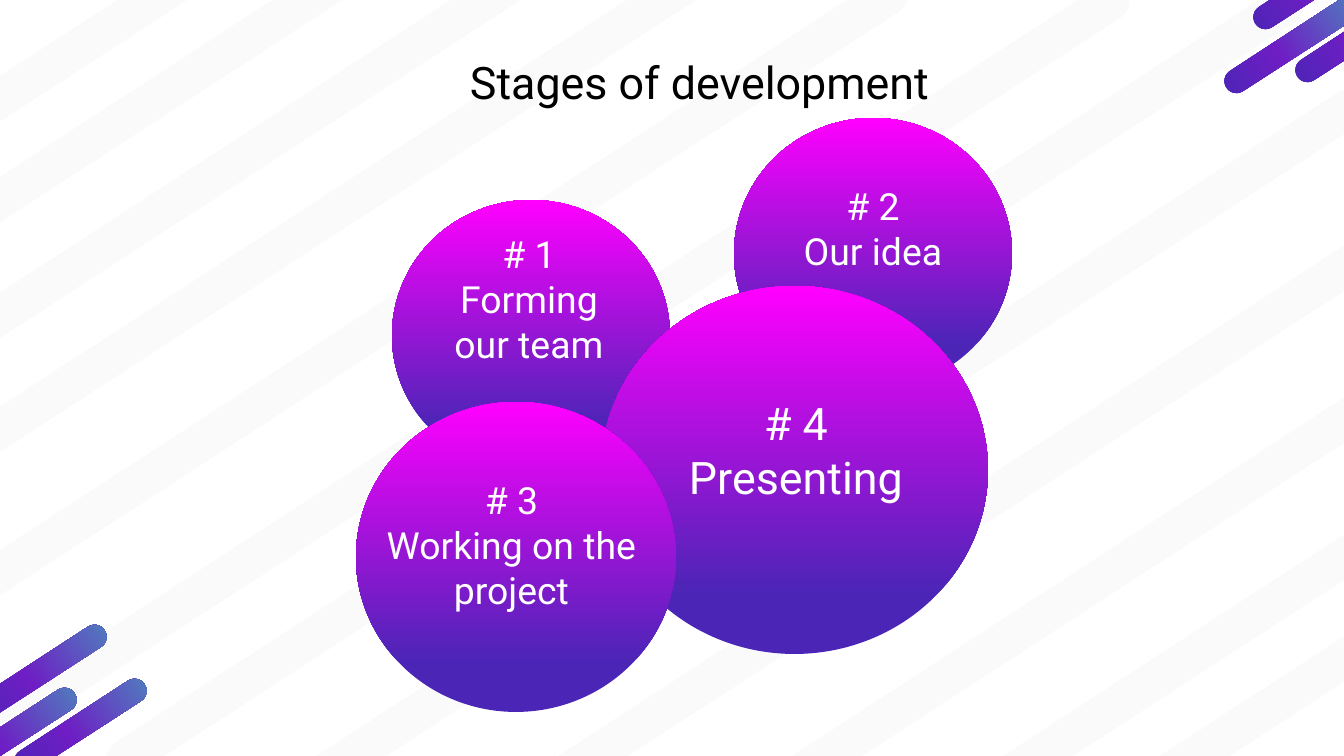
import pptx
import pptx.dml.color
import pptx.enum.shapes
import pptx.enum.text
import pptx.oxml
import pptx.oxml.ns
import pptx.util

SHAPE = pptx.enum.shapes.MSO_SHAPE
ANCHOR = pptx.enum.text.MSO_ANCHOR
EMU_PER_PX = 914400 / 134.4
TILT = 327
STRIPE_COLOR = "FAFAFA"
STRIPE_HEIGHT = 38
BAR_WIDTH, BAR_HEIGHT = 153, 24
BAR_STOPS = [(0, "4B25B6"), (42, "6E1EC4"), (100, "4F81BD")]
CIRCLE_STOPS = [(16, "4B25B6"), (100, "FF00FF")]

STRIPES = [
    (-126, 35, 390), (-534, 106, 1298), (-462, 175, 1298), (-402, 250, 1298),
    (-289, 320, 1298), (-159, 353, 1398), (-5, 363, 1421), (87, 457, 1391),
    (286, 515, 1298), (503, 526, 1298), (343, 767, 1298), (512, 759, 1298),
]
BARS = [(-66, 723), (4, 714), (-36, 660), (1214, 34), (1285, 23), (1243, -30)]


def px(length):
    return pptx.util.Emu(round(length * EMU_PER_PX))


def color(code):
    return pptx.dml.color.RGBColor.from_string(code)


def add_shape(shapes, kind, left, top, width, height):
    shape = shapes.add_shape(kind, px(left), px(top), px(width), px(height))
    shape.shadow.inherit = False
    shape.line.fill.background()
    return shape


def add_pill(shapes, left, top, width, height):
    pill = add_shape(shapes, SHAPE.ROUNDED_RECTANGLE, left, top, width, height)
    pill.adjustments[0] = 0.5
    pill.rotation = TILT
    return pill


def fill_gradient(shape, stops, angle):
    shape.fill.gradient()
    shape.fill.gradient_angle = angle
    stop_list = next(shape.element.iter(pptx.oxml.ns.qn("a:gsLst")))
    stop_list.clear()
    for position, code in stops:
        stop_list.append(pptx.oxml.parse_xml(
            f'<a:gs {pptx.oxml.ns.nsdecls("a")} pos="{position * 1000}">'
            f'<a:srgbClr val="{code}"/></a:gs>'))


def add_circle(page, left, top, width, height):
    circle = add_shape(page.shapes, SHAPE.OVAL, left, top, width, height)
    fill_gradient(circle, CIRCLE_STOPS, 90)


def add_text(page, text, left, top, width, height, size=20, code="FFFFFF",
             anchor=ANCHOR.MIDDLE, inset=13, spacing=None):
    box = page.shapes.add_textbox(px(left), px(top), px(width), px(height))
    frame = box.text_frame
    frame.word_wrap = True
    frame.vertical_anchor = anchor
    frame.margin_left = frame.margin_right = px(13)
    frame.margin_top = frame.margin_bottom = px(inset)
    frame.text = text
    for para in frame.paragraphs:
        para.alignment = pptx.enum.text.PP_ALIGN.CENTER
        para.line_spacing = spacing
        for span in para.runs:
            span.font.name = "Roboto"
            span.font.size = pptx.util.Pt(size)
            span.font.color.rgb = color(code)


def add_backdrop(page):
    stripes = page.shapes.add_group_shape()
    for left, top, width in STRIPES:
        stripe = add_pill(stripes.shapes, left, top, width, STRIPE_HEIGHT)
        stripe.fill.solid()
        stripe.fill.fore_color.rgb = color(STRIPE_COLOR)
    for left, top in BARS:
        bar = add_pill(page.shapes, left, top, BAR_WIDTH, BAR_HEIGHT)
        fill_gradient(bar, BAR_STOPS, 0)


def main():
    deck = pptx.Presentation()
    deck.slide_width, deck.slide_height = px(1344), px(756)
    page = deck.slides.add_slide(deck.slide_layouts[6])
    page.background.fill.solid()
    page.background.fill.fore_color.rgb = color("FFFFFF")

    add_backdrop(page)
    add_circle(page, 734, 118, 278, 271)
    add_text(page, "Stages of development", 320, 42, 759, 103, size=24,
             code="000000", anchor=ANCHOR.TOP, inset=7, spacing=1.1)
    add_circle(page, 392, 200, 278, 271)
    add_circle(page, 601, 286, 387, 368)
    add_text(page, "# 4\nPresenting", 620, 364, 352, 171, size=24)
    add_circle(page, 356, 402, 320, 310)
    add_text(page, "# 1\vForming our team", 429, 214, 200, 169)
    add_text(page, "# 3\nWorking on the project", 367, 461, 289, 167)
    add_text(page, "# 2\nOur idea", 761, 160, 224, 136)

    deck.save("out.pptx")


if __name__ == "__main__":
    main()
